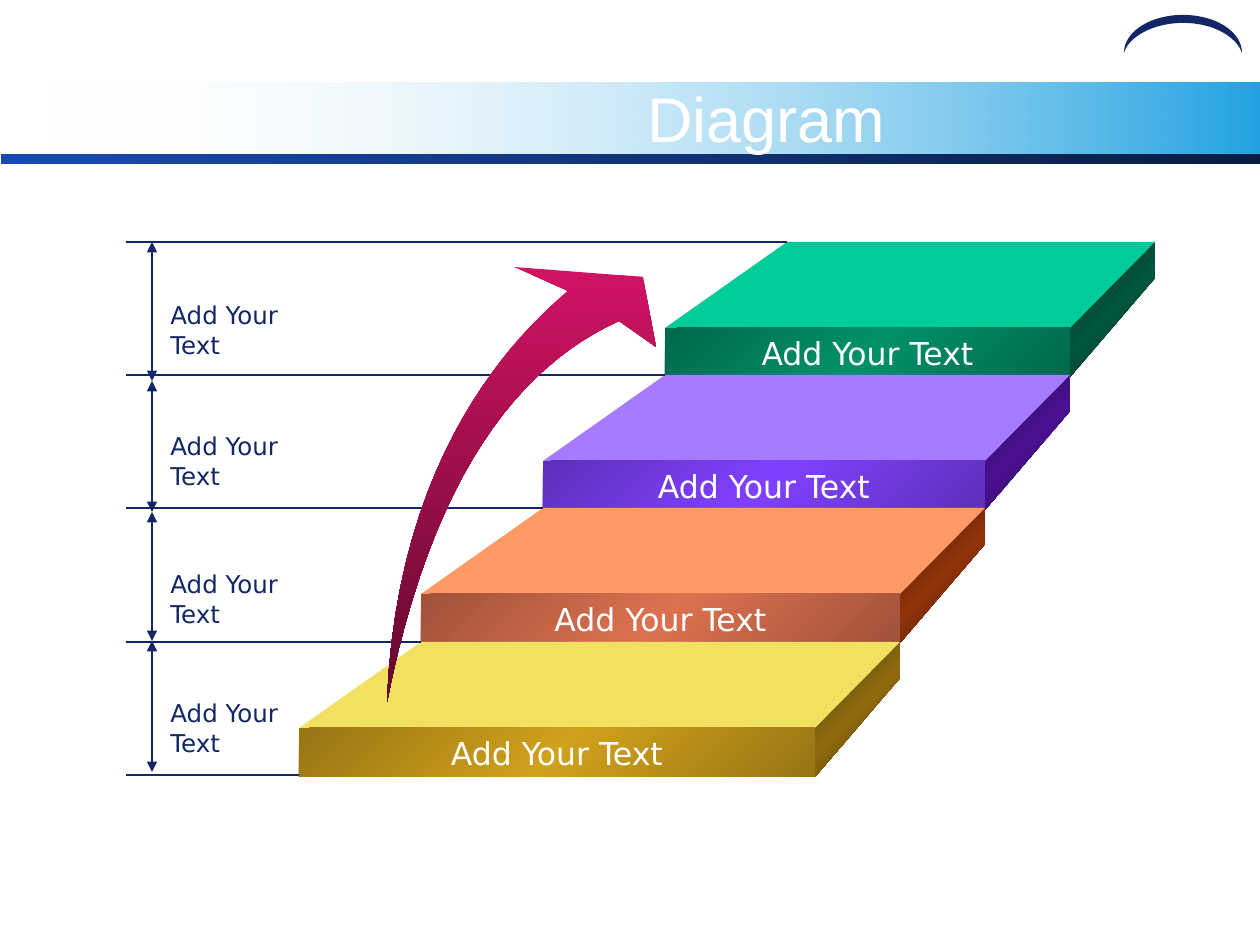
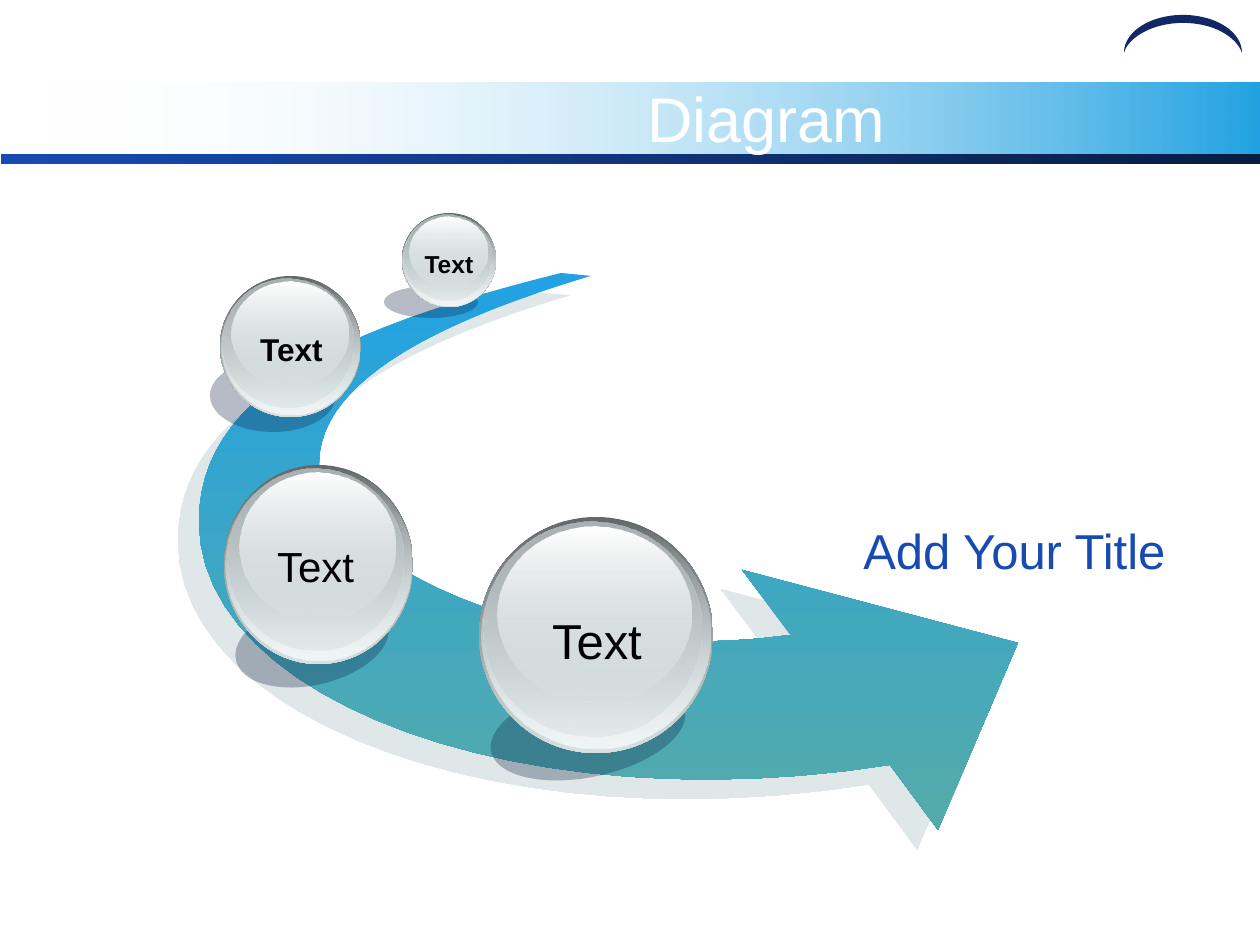
from pptx import Presentation
from pptx.dml.color import RGBColor
from pptx.enum.shapes import MSO_CONNECTOR, MSO_SHAPE
from pptx.enum.text import MSO_ANCHOR, PP_ALIGN
from pptx.oxml import parse_xml
from pptx.oxml.ns import nsdecls, qn
from pptx.util import Pt

RECT, OVAL = MSO_SHAPE.RECTANGLE, MSO_SHAPE.OVAL
STRAIGHT = MSO_CONNECTOR.STRAIGHT
TOP, MIDDLE = MSO_ANCHOR.TOP, MSO_ANCHOR.MIDDLE
LEFT, CENTER = PP_ALIGN.LEFT, PP_ALIGN.CENTER

THEME = {
    "navy": "132767",
    "arc": [(0, "132767", 100)],
    "band": [(0, "FFFFFF", 0), (100, "22A2E2", 100)],
    "stripe": [(0, "184BB2", 100), (100, "091D44", 100)],
    "rise": [(0, "D11364", 100), (100, "61092E", 100)],
    "sweep": [(0, "22A2E2", 100), (100, "55ABA9", 100)],
    "sweep shadow": "C1D1D3",
    "ball shadow": [(0, "0F2145", 30)],
    "title": {"size": 36, "name": "Arial", "color": "FFFFFF"},
    "step": {"size": 18, "name": "DejaVu Sans", "color": "FFFFFF"},
    "label": {"size": 14, "name": "DejaVu Sans", "color": "132767"},
    "heading": {"size": 28, "name": "Arial", "color": "184BB2"},
    "ball": {"name": "Arial", "color": "000000"},
}

TITLE = "Diagram"
ARC = [(1242, 53), ((1237, 38), (1215, 23), (1183, 23)),
       ((1152, 23), (1128, 38), (1124, 53)),
       ((1124, 32), (1150, 15), (1183, 15)),
       ((1216, 15), (1242, 32), (1242, 53))]

STEPS = [
    {"text": "Add Your Text", "label": "Add Your Text", "label_top": 294,
     "top": "00CC99", "front": ("00684D", "00906A"), "side": ("00281D", "00563F")},
    {"text": "Add Your Text", "label": "Add Your Text", "label_top": 425,
     "top": "A77BFF", "front": ("5D2FB9", "8041FF"), "side": ("230744", "4B1092")},
    {"text": "Add Your Text", "label": "Add Your Text", "label_top": 563,
     "top": "FF9966", "front": ("A0523A", "DC7150"), "side": ("431805", "90330A")},
    {"text": "Add Your Text", "label": "Add Your Text", "label_top": 692,
     "top": "F2E160", "front": ("977514", "D0A11C"), "side": ("433206", "906B0E")},
]
SPAN_ENDS = [242, 381, 512, 641, 772]
RISE = [(387, 702), ((397, 451), (518, 334), (568, 291)),
        (514, 267), (643, 277), (656, 347), (619, 321),
        ((518, 367), (432, 476), (387, 702))]

HEADING = "Add Your Title"
SWEEP = [(561, 273), ((329, 331), (199, 398), (199, 522)),
         ((199, 701), (524, 823), (890, 765)),
         (938, 830), (1018, 643), (742, 570), (791, 635),
         ((539, 670), (319, 559), (319, 464)),
         ((319, 375), (457, 316), (591, 276))]
BALLS = [
    {"text": "Text", "box": (479, 517, 234, 236), "shadow": (489, 685, 198, 92), "tilt": -12,
     "text_box": (537, 604, 120, 72), "font": {"size": 28}},
    {"text": "Text", "box": (224, 465, 189, 199), "shadow": (234, 601, 156, 84), "tilt": -13,
     "text_box": (262, 534, 107, 63), "font": {"size": 24}},
    {"text": "Text", "box": (220, 276, 141, 141), "shadow": (210, 359, 126, 73), "tilt": 0,
     "text_box": (247, 324, 89, 50), "font": {"size": 18, "bold": True}},
    {"text": "Text", "box": (402, 213, 94, 94), "shadow": (384, 286, 94, 32), "tilt": 0,
     "text_box": (411, 243, 76, 43), "font": {"size": 14, "bold": True}},
]
GLASS = [
    ((0, 0, 1, 1), [(0, "636869", 100), (100, "D6E1E2", 100)]),
    ((0.01, 0.01, 0.98, 0.97), [(0, "D6E1E2", 0), (100, "F1F5F5", 100)]),
    ((0.02, 0.02, 0.93, 0.91), [(0, "AAB2B3", 100), (100, "D6E1E2", 48)]),
    ((0.08, 0.04, 0.83, 0.74), [(0, "FFFFFF", 100), (100, "D6E1E2", 38)]),
]

SCALE = 914400 / 126


def px(value):
    return round(value * SCALE)


def set_all(target, values):
    for key, value in values.items():
        setattr(target, key, value)


def color_xml(color, alpha):
    return f'<a:srgbClr val="{color}"><a:alpha val="{alpha * 1000}"/></a:srgbClr>'


def paint(shape, stops, angle=0):
    if len(stops) == 1:
        xml = f'<a:solidFill {nsdecls("a")}>{color_xml(*stops[0][1:])}</a:solidFill>'
    else:
        marks = "".join(f'<a:gs pos="{at * 1000}">{color_xml(color, alpha)}</a:gs>'
                        for at, color, alpha in stops)
        xml = (f'<a:gradFill {nsdecls("a")} rotWithShape="1"><a:gsLst>{marks}</a:gsLst>'
               f'<a:lin ang="{angle * 60000}" scaled="0"/></a:gradFill>')
    shape.fill.background()
    properties = shape._element.spPr
    properties.replace(properties.find(qn("a:noFill")), parse_xml(xml))
    shape.line.fill.background()
    shape.shadow.inherit = False
    return shape


def preset(slide, kind, box, stops, angle=0):
    return paint(slide.shapes.add_shape(kind, *map(px, box)), stops, angle)


def bezier(start, first, second, end, pieces=24):
    for n in range(1, pieces + 1):
        t = n / pieces
        u = 1 - t
        yield tuple(u**3 * a + 3 * u * u * t * b + 3 * u * t * t * c + t**3 * d
                    for a, b, c, d in zip(start, first, second, end))


def outline(slide, segments, stops, angle=0):
    points = [segments[0]]
    for segment in segments[1:]:
        points.extend([segment] if len(segment) == 2 else bezier(points[-1], *segment))
    (x, y), *rest = [(px(a), px(b)) for a, b in points]
    builder = slide.shapes.build_freeform(x, y)
    builder.add_line_segments(rest, close=True)
    return paint(builder.convert_to_shape(), stops, angle)


def write(shape, text, font, align=LEFT, anchor=TOP, wrap=True):
    set_all(shape.text_frame, {"word_wrap": wrap, "vertical_anchor": anchor})
    paragraph = shape.text_frame.paragraphs[0]
    paragraph.alignment = align
    run = paragraph.add_run()
    run.text = text
    values = dict(font)
    run.font.color.rgb = RGBColor.from_string(values.pop("color"))
    values["size"] = Pt(values["size"])
    set_all(run.font, values)


def text_box(slide, box, text, font, **layout):
    write(slide.shapes.add_textbox(*map(px, box)), text, font, **layout)


def rule(slide, start, end, arrows=False):
    connector = slide.shapes.add_connector(STRAIGHT, *map(px, start + end))
    connector.line.color.rgb = RGBColor.from_string(THEME["navy"])
    connector.line.width = Pt(0.75)
    if arrows:
        for tag in ("headEnd", "tailEnd"):
            connector.line._get_or_add_ln().append(
                parse_xml(f'<a:{tag} {nsdecls("a")} type="triangle"/>'))
    connector._element.spPr.append(parse_xml(f'<a:effectLst {nsdecls("a")}/>'))


def titled_slide(deck):
    slide = deck.slides.add_slide(deck.slide_layouts[6])
    preset(slide, RECT, (42, 83, 1218, 74), THEME["band"])
    preset(slide, RECT, (1, 154, 1259, 10), THEME["stripe"])
    outline(slide, ARC, THEME["arc"])
    text_box(slide, (336, 84, 861, 67), TITLE, THEME["title"], align=CENTER, anchor=MIDDLE)
    return slide


def ridge(edge, middle):
    return [(0, edge, 100), (50, middle, 100), (100, edge, 100)]


def staircase(deck):
    slide = titled_slide(deck)
    depth, front_height, side_height = 86, 49, 36
    left_shift, right_shift = 122, 85
    levels = [242 + 400 * n // 3 for n in range(len(STEPS) + 1)]
    back_lefts = [787 - left_shift * n for n in range(len(levels))]
    for n, step in enumerate(STEPS):
        y, back_left = levels[n], back_lefts[n]
        left, right = back_left - left_shift, 1070 - right_shift * n
        back_right, fold = right + right_shift, y + depth
        outline(slide, [(back_right, y + side_height), (right, fold + front_height),
                        (right, fold), (back_right, y)], ridge(*step["side"]), 45)
        outline(slide, [(right, fold), (left, fold), (back_left, y), (back_right, y)],
                [(0, step["top"], 100)])
        front = preset(slide, RECT, (left, fold, right - left, front_height),
                       ridge(*step["front"]), 45)
        write(front, step["text"], THEME["step"], align=CENTER, anchor=MIDDLE, wrap=False)
        text_box(slide, (158, step["label_top"], 186, 43), step["label"], THEME["label"])
    for y, back_left in zip(levels, back_lefts):
        rule(slide, (back_left, y), (126, y))
    for upper, lower in zip(SPAN_ENDS, SPAN_ENDS[1:]):
        rule(slide, (152, upper), (152, lower), arrows=True)
    outline(slide, RISE, THEME["rise"], 90)


def ball_path(deck):
    slide = titled_slide(deck)
    sweep = outline(slide, SWEEP, THEME["sweep"], 90)
    sweep._element.spPr.find(qn("a:effectLst")).append(parse_xml(
        f'<a:outerShdw {nsdecls("a")} dist="{Pt(16.3)}" dir="{137 * 60000}" rotWithShape="0">'
        f'{color_xml(THEME["sweep shadow"], 50)}</a:outerShdw>'))
    text_box(slide, (851, 514, 368, 72), HEADING, THEME["heading"])
    for ball in BALLS:
        preset(slide, OVAL, ball["shadow"], THEME["ball shadow"]).rotation = ball["tilt"]
        x, y, width, height = ball["box"]
        for (dx, dy, wide, high), stops in GLASS:
            preset(slide, OVAL, (x + dx * width, y + dy * height, wide * width, high * height),
                   stops, 90)
        text_box(slide, ball["text_box"], ball["text"], {**THEME["ball"], **ball["font"]},
                 align=CENTER, wrap=False)


def main():
    deck = Presentation()
    set_all(deck, {"slide_width": px(1260), "slide_height": px(945)})
    staircase(deck)
    ball_path(deck)
    deck.save("out.pptx")


if __name__ == "__main__":
    main()
